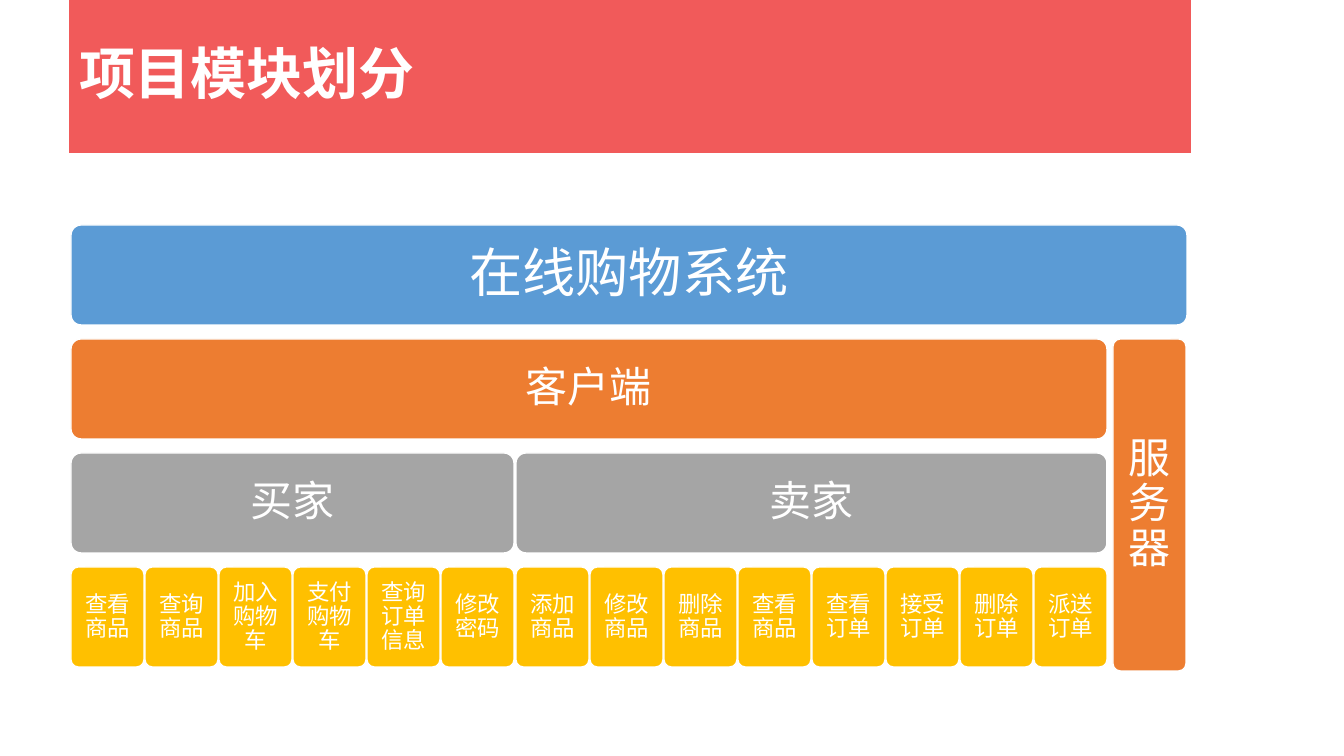
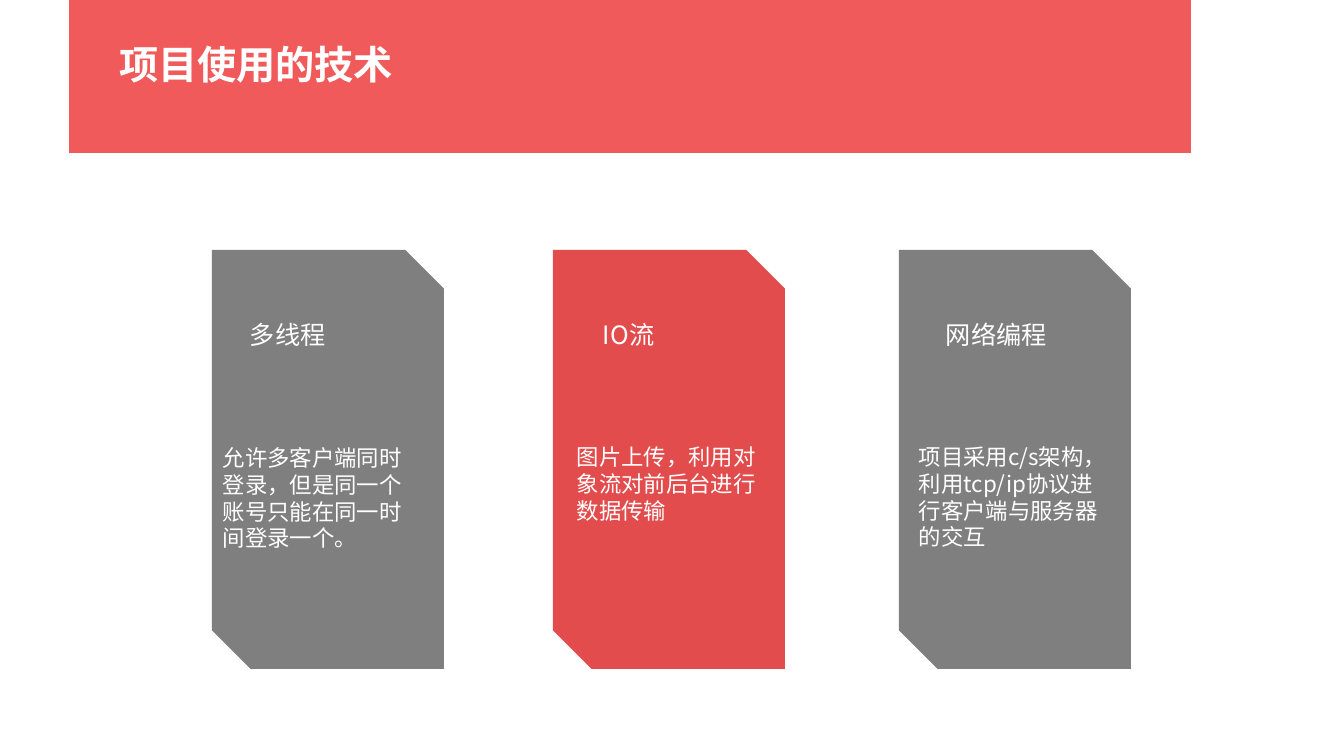
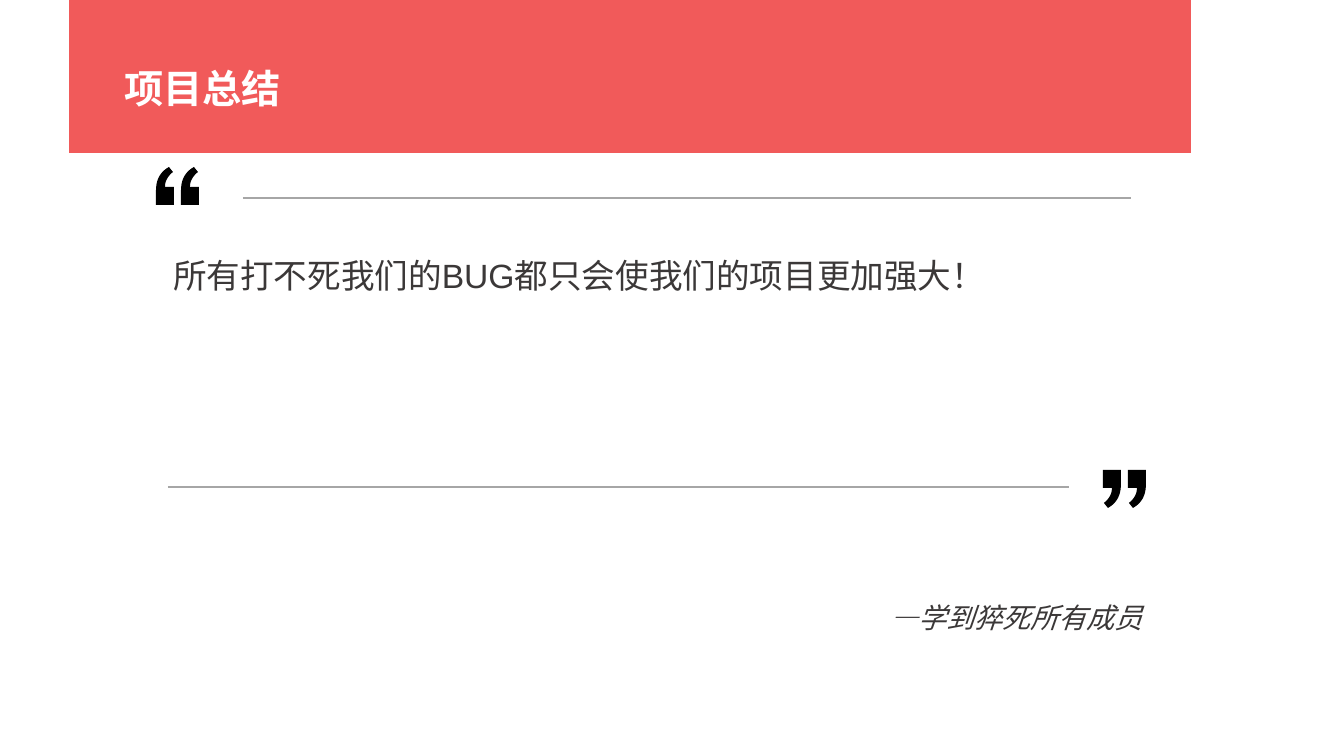
from lxml.etree import SubElement
from pptx import Presentation
from pptx.dml.color import RGBColor
from pptx.enum.shapes import MSO_CONNECTOR, MSO_SHAPE
from pptx.enum.text import MSO_ANCHOR, PP_ALIGN
from pptx.oxml.ns import qn
from pptx.util import Pt

# Shared look
COLORS = {
    "band": "F15A5A", "white": "FFFFFF", "root": "5B9BD5", "side": "ED7D31",
    "role": "A5A5A5", "task": "FFC000", "gray": "7F7F7F", "red": "E34C4C",
    "rule": "A6A6A6", "mark": "000000", "ink": "3B3838",
}
CJK = "Noto Sans CJK SC"
SCALE = 914400 / 100.8
SLIDE = (1344, 756)
BAND = (69, 0, 1122, 153)

# Slide 1: module tree
SYSTEM, CLIENT, SERVER = "在线购物系统", "客户端", "服务器"
ROLES = [
    ("买家", ["查看商品", "查询商品", "加入购物车", "支付购物车", "查询订单信息", "修改密码"]),
    ("卖家", ["添加商品", "修改商品", "删除商品", "查看商品", "查看订单", "接受订单",
            "删除订单", "派送订单"]),
]
TREE_LEFT, TREE_TOP, TREE_WIDTH = 71, 225, 1116
ROW_HEIGHT, ROW_PITCH = 100, 114
TASK_WIDTH, TASK_PITCH, ROLE_GAP = 73, 74, 2
SERVER_LEFT, SERVER_HEIGHT = 1113, 332

# Slide 2: cards as (left, fill, heading, heading left, body, body left, body top)
CARDS = [
    (212, "gray", "多线程", 240,
     "允许多客户端同时登录，但是同一个账号只能在同一时间登录一个。", 213, 439),
    (553, "red", "IO流", 593, "图片上传，利用对象流对前后台进行数据传输", 567, 438),
    (899, "gray", "网络编程", 936,
     "项目采用c/s架构，利用tcp/ip协议进行客户端与服务器的交互", 909, 438),
]
CARD_TOP, CARD_WIDTH, CARD_HEIGHT = 250, 232, 419

# Slide 3: quotation
QUOTE = "所有打不死我们的BUG都只会使我们的项目更加强大！"
SIGNATURE = "—学到猝死所有成员"
RULES = [(243, 1131, 198), (168, 1069, 487)]
MARK_SIZE, MARK_PITCH = (18, 38), 25
MARKS = [(156, 167, False), (1103, 470, True)]  # left, top, turned


def px(value):
    return round(value * SCALE)


def color(name):
    return RGBColor.from_string(COLORS[name])


def write(box, text, size, ink="white", font=CJK, bold=False, italic=False,
          align=PP_ALIGN.LEFT, anchor=MSO_ANCHOR.TOP, spacing=None,
          margins=(10, 5), indent=0):
    frame = box.text_frame
    frame.word_wrap = True
    frame.vertical_anchor = anchor
    frame.margin_left = frame.margin_right = px(margins[0])
    frame.margin_top = frame.margin_bottom = px(margins[1])
    para = frame.paragraphs[0]
    para.alignment = align
    if spacing:
        para.line_spacing = spacing
    if indent:
        para._p.get_or_add_pPr().set("indent", str(px(indent)))
    span = para.add_run()
    span.text = text
    span.font.size = Pt(size)
    span.font.bold, span.font.italic = bold, italic
    span.font.color.rgb = color(ink)
    span.font.name = font
    SubElement(span._r.rPr, qn("a:ea")).set("typeface", CJK)


def add_text(page, place, text, size, **style):
    box = page.shapes.add_textbox(*map(px, place))
    write(box, text, size, **style)


def paint(shape, fill, line=None):
    shape.shadow.inherit = False
    shape.fill.solid()
    shape.fill.fore_color.rgb = color(fill)
    if line:
        shape.line.color.rgb = color(line)
        shape.line.width = Pt(1)
    else:
        shape.line.fill.background()


def add_shape(page, kind, place, fill, line=None):
    shape = page.shapes.add_shape(kind, *map(px, place))
    paint(shape, fill, line)
    return shape


def add_page(deck, title, place, size=28, **style):
    page = deck.slides.add_slide(deck.slide_layouts[6])
    add_shape(page, MSO_SHAPE.RECTANGLE, BAND, "band")
    add_text(page, place, title, size, bold=True, **style)
    return page


def add_block(page, place, fill, text, size, margin):
    block = add_shape(page, MSO_SHAPE.ROUNDED_RECTANGLE, place, fill, "white")
    block.adjustments[0] = 0.1
    write(block, text, size, font="Arial", align=PP_ALIGN.CENTER,
          anchor=MSO_ANCHOR.MIDDLE, spacing=0.9, margins=(margin, margin))


def curve(start, first, second, end, steps=10):
    """Points along a cubic curve, without its start."""
    for step in range(1, steps + 1):
        t = step / steps
        u = 1 - t
        yield tuple(u**3 * a + 3 * u * u * t * b + 3 * u * t * t * c + t**3 * d
                    for a, b, c, d in zip(start, first, second, end))


def add_mark(page, left, top, turned):
    width, height = MARK_SIZE
    points = [(13, 0), (17, 5), *curve((17, 5), (12, 9), (9, 14), (9, 20)),
              (18, 20), (18, 38), (0, 38), (0, 24),
              *curve((0, 24), (0, 13), (4, 5), (13, 0))]
    if turned:
        points = [(width - x, height - y) for x, y in points]
    start, *rest = [(px(left + x), px(top + y)) for x, y in points]
    builder = page.shapes.build_freeform(*start)
    builder.add_line_segments(rest, close=True)
    paint(builder.convert_to_shape(), "mark")


def add_rule(page, left, right, y):
    rule = page.shapes.add_connector(
        MSO_CONNECTOR.STRAIGHT, px(left), px(y), px(right), px(y))
    rule.line.color.rgb = color("rule")
    rule.line.width = Pt(2)
    SubElement(rule._element.spPr, qn("a:effectLst"))


def modules_page(deck):
    page = add_page(deck, "项目模块划分", BAND, 40, font="Arial",
                    anchor=MSO_ANCHOR.MIDDLE, spacing=0.9)
    rows = [TREE_TOP + ROW_PITCH * level for level in range(4)]
    add_block(page, (TREE_LEFT, rows[0], TREE_WIDTH, ROW_HEIGHT), "root", SYSTEM, 38, 16)
    left = TREE_LEFT
    for role, tasks in ROLES:
        width = TASK_PITCH * (len(tasks) - 1) + TASK_WIDTH
        add_block(page, (left, rows[2], width, ROW_HEIGHT), "role", role, 30, 12)
        for index, task in enumerate(tasks):
            place = (left + TASK_PITCH * index, rows[3], TASK_WIDTH, ROW_HEIGHT)
            add_block(page, place, "task", task, 16, 7)
        left += width + ROLE_GAP
    client_width = left - ROLE_GAP - TREE_LEFT
    add_block(page, (TREE_LEFT, rows[1], client_width, ROW_HEIGHT), "side", CLIENT, 30, 12)
    add_block(page, (SERVER_LEFT, rows[1], TASK_WIDTH, SERVER_HEIGHT), "side", SERVER, 30, 12)


def technology_page(deck):
    page = add_page(deck, "项目使用的技术", (109, 35, 320, 57))
    for left, fill, heading, heading_left, body, body_left, body_top in CARDS:
        add_shape(page, MSO_SHAPE.SNIP_2_DIAG_RECTANGLE,
                  (left, CARD_TOP, CARD_WIDTH, CARD_HEIGHT), fill)
        add_text(page, (heading_left, 314, 157, 40), heading, 18)
        add_text(page, (body_left, body_top, 212, 146), body, 16)


def summary_page(deck):
    page = add_page(deck, "项目总结", (114, 59, 428, 57))
    for rule in RULES:
        add_rule(page, *rule)
    for left, top, turned in MARKS:
        for index in range(2):
            add_mark(page, left + MARK_PITCH * index, top, turned)
    add_text(page, (150, 242, 999, 211), QUOTE, 24, ink="ink", font="Arial",
             spacing=1.2, indent=13)
    add_text(page, (662, 594, 487, 76), SIGNATURE, 20, ink="ink", font="Calibri",
             italic=True, align=PP_ALIGN.RIGHT, margins=(6, 6))


def main():
    deck = Presentation()
    deck.slide_width, deck.slide_height = map(px, SLIDE)
    modules_page(deck)
    technology_page(deck)
    summary_page(deck)
    deck.save("out.pptx")


if __name__ == "__main__":
    main()
